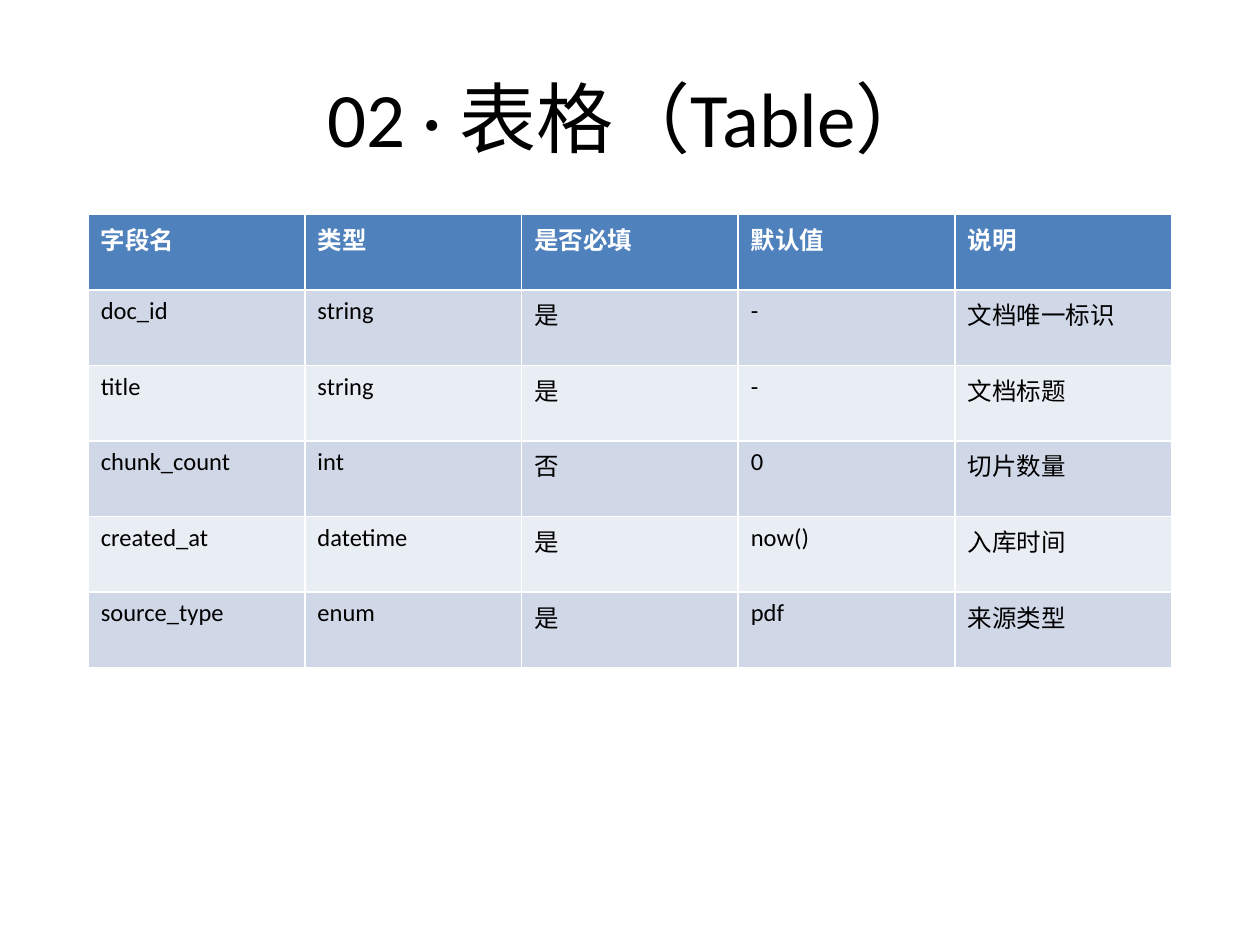
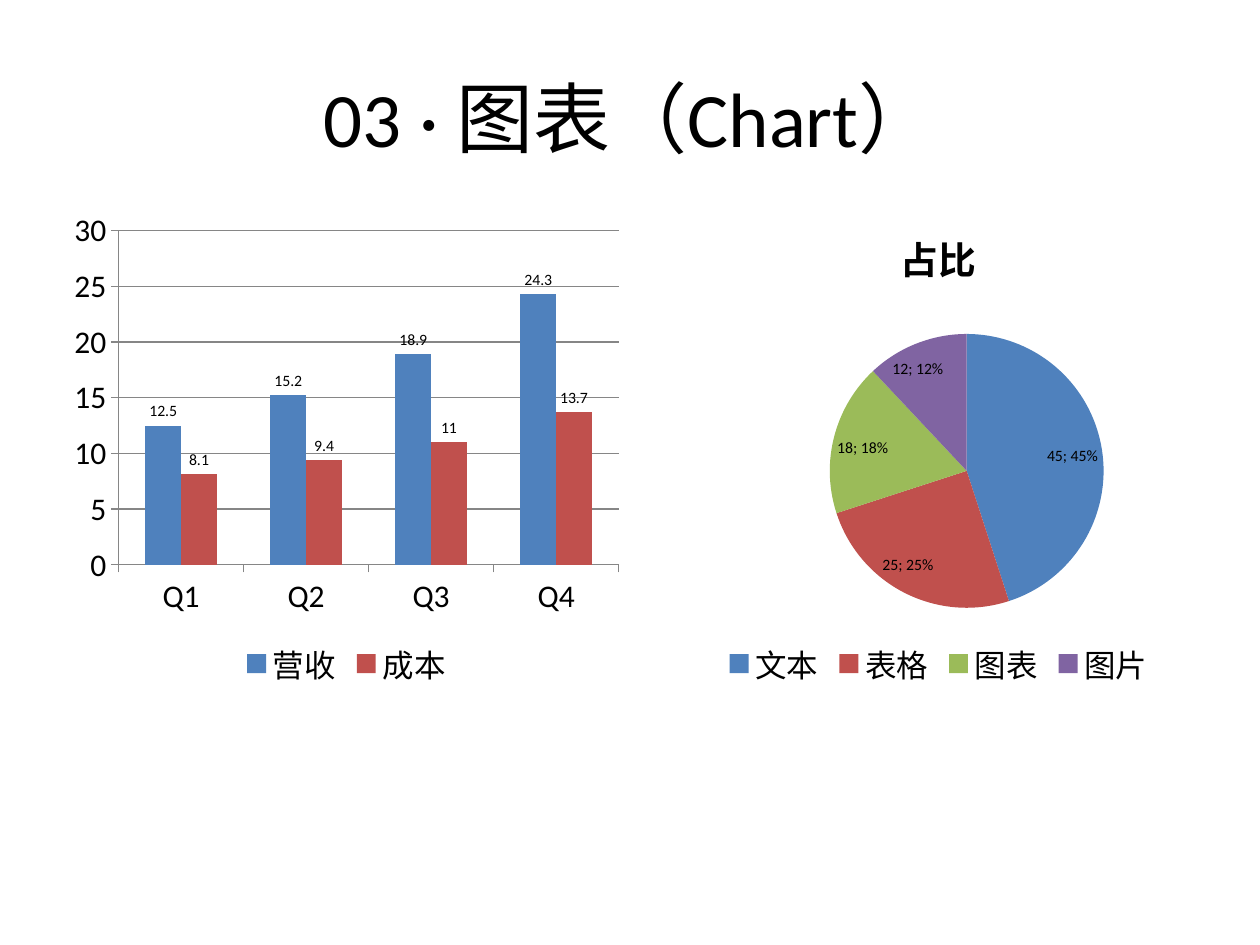
from pptx import Presentation
from pptx.chart.data import CategoryChartData as Data
from pptx.dml.color import RGBColor as RGB
from pptx.enum.chart import XL_CHART_TYPE as Kind, XL_LEGEND_POSITION as Place
from pptx.enum.chart import XL_LABEL_POSITION as Spot, XL_TICK_MARK as Tick
from pptx.enum.text import MSO_ANCHOR as Anchor, PP_ALIGN as Align
from pptx.util import Inches, Pt

FACE = "Calibri"
BLACK = RGB(0x00, 0x00, 0x00)
WHITE = RGB(0xFF, 0xFF, 0xFF)
BLUE = RGB(0x4F, 0x81, 0xBD)
RED = RGB(0xC0, 0x50, 0x4D)
GREEN = RGB(0x9B, 0xBB, 0x59)
PURPLE = RGB(0x80, 0x64, 0xA2)
GRAY = RGB(0x86, 0x86, 0x86)
BANDS = [RGB(0xD0, 0xD8, 0xE8), RGB(0xE9, 0xED, 0xF4)]
COLORS = [BLUE, RED, GREEN, PURPLE]

FIELDS = [
    ["字段名", "类型", "是否必填", "默认值", "说明"],
    ["doc_id", "string", "是", "-", "文档唯一标识"],
    ["title", "string", "是", "-", "文档标题"],
    ["chunk_count", "int", "否", "0", "切片数量"],
    ["created_at", "datetime", "是", "now()", "入库时间"],
    ["source_type", "enum", "是", "pdf", "来源类型"],
]
SALES = {"营收": [12.5, 15.2, 18.9, 24.3], "成本": [8.1, 9.4, 11, 13.7]}
SHARES = {"占比": [45, 25, 18, 12]}


def inches(*sizes):
    return [Inches(size) for size in sizes]


def style(font, size, color=BLACK, bold=False):
    font.name = FACE
    font.size = Pt(size)
    font.bold = bold
    font.color.rgb = color


def add_run(para, text, size, color=BLACK, bold=False):
    run = para.add_run()
    run.text = text
    style(run.font, size, color, bold)


def add_slide(deck, title):
    slide = deck.slides.add_slide(deck.slide_layouts[6])
    frame = slide.shapes.add_textbox(*inches(0.5, 0.3, 9, 1.25)).text_frame
    frame.word_wrap = True
    frame.vertical_anchor = Anchor.MIDDLE
    para = frame.paragraphs[0]
    para.alignment = Align.CENTER
    add_run(para, title, 44)
    return slide


def add_grid(slide, rows, box):
    shape = slide.shapes.add_table(len(rows), len(rows[0]), *inches(*box))
    for r, row in enumerate(rows):
        head = r == 0
        for c, text in enumerate(row):
            cell = shape.table.cell(r, c)
            cell.fill.solid()
            cell.fill.fore_color.rgb = BLUE if head else BANDS[(r - 1) % 2]
            para = cell.text_frame.paragraphs[0]
            add_run(para, text, 14, WHITE if head else BLACK, head)


def paint(part, color):
    part.format.fill.solid()
    part.format.fill.fore_color.rgb = color


def add_chart(slide, kind, names, series, box):
    data = Data()
    data.categories = names
    for name, values in series.items():
        data.add_series(name, values)
    chart = slide.shapes.add_chart(kind, *inches(*box), data).chart
    style(chart.font, 18)
    chart.has_title = False
    chart.has_legend = True
    chart.legend.position = Place.BOTTOM
    chart.legend.include_in_layout = False
    plot = chart.plots[0]
    plot.has_data_labels = True
    style(plot.data_labels.font, 9)
    plot.data_labels.show_value = True
    return chart


def add_bars(slide, names, series, box):
    chart = add_chart(slide, Kind.COLUMN_CLUSTERED, names, series, box)
    plot = chart.plots[0]
    plot.vary_by_categories = False
    plot.gap_width = 150
    plot.overlap = 0
    plot.data_labels.position = Spot.OUTSIDE_END
    for bar, color in zip(plot.series, COLORS):
        paint(bar, color)
    for axis in (chart.category_axis, chart.value_axis):
        axis.major_tick_mark = Tick.OUTSIDE
        axis.minor_tick_mark = Tick.NONE
        axis.format.line.color.rgb = GRAY
    chart.value_axis.has_major_gridlines = True
    chart.value_axis.major_gridlines.format.line.color.rgb = GRAY


def add_pie(slide, names, series, box):
    chart = add_chart(slide, Kind.PIE, names, series, box)
    plot = chart.plots[0]
    plot.vary_by_categories = True
    plot.data_labels.show_percentage = True
    pie = plot.series[0]
    for i, color in enumerate(COLORS):
        paint(pie.points[i], color)
    chart.has_title = True
    add_run(chart.chart_title.text_frame.paragraphs[0], pie.name, 21.6, bold=True)


def main():
    deck = Presentation()
    deck.slide_width, deck.slide_height = inches(10, 7.5)

    slide = add_slide(deck, "02 · 表格（Table）")
    add_grid(slide, FIELDS, (0.7, 1.7, 8.6, 3.6))

    slide = add_slide(deck, "03 · 图表（Chart）")
    add_bars(slide, ["Q1", "Q2", "Q3", "Q4"], SALES, (0.5, 1.6, 4.5, 3.9))
    add_pie(slide, ["文本", "表格", "图表", "图片"], SHARES, (5.4, 1.6, 4.1, 3.9))

    deck.save("out.pptx")


if __name__ == "__main__":
    main()
